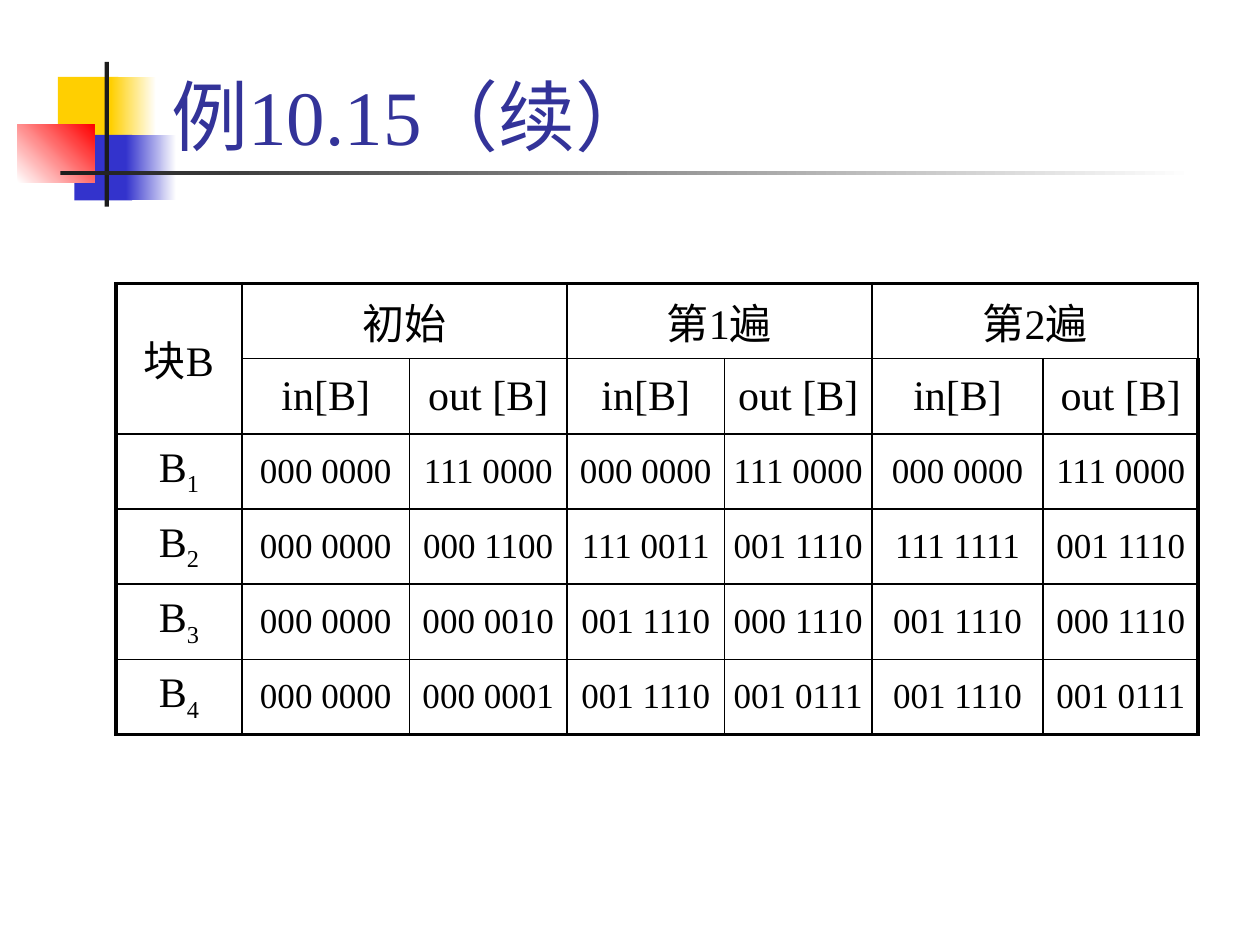
from dataclasses import dataclass
from lxml.etree import SubElement
from pptx import Presentation
from pptx.dml.color import RGBColor as Color
from pptx.enum.shapes import MSO_SHAPE as Shape
from pptx.enum.text import MSO_ANCHOR as Anchor, MSO_AUTO_SIZE as AutoSize, PP_ALIGN as Align
from pptx.oxml.ns import qn
from pptx.util import Inches, Pt

GRID_COLUMNS, GRID_ROWS = 100, 75


@dataclass(frozen=True)
class Theme:
    font: str = "Times New Roman"
    title: str = "333399"
    text: str = "000000"
    paper: str = "FFFFFF"
    yellow: str = "FFCF01"
    blue: str = "3333CC"
    red: str = "FF0000"
    ink: str = "1C1C1C"
    title_size: int = 44
    header_size: int = 24
    value_size: int = 20
    thin: float = 1
    thick: float = 2.25


class SlideBuilder:
    def __init__(self, presentation, theme):
        self.theme = theme
        self.column = presentation.slide_width / GRID_COLUMNS
        self.row = presentation.slide_height / GRID_ROWS
        self.slide = presentation.slides.add_slide(presentation.slide_layouts[5])

    def box(self, left, top, width, height):
        return (round(left * self.column), round(top * self.row),
                round(width * self.column), round(height * self.row))

    def style_run(self, run, size, color):
        run.font.name = self.theme.font
        run.font.size = Pt(size)
        run.font.color.rgb = Color.from_string(color)

    def block(self, area, start, end=None, angle=0):
        shape = self.slide.shapes.add_shape(Shape.RECTANGLE, *self.box(*area))
        shape.shadow.inherit = False
        shape.line.fill.background()
        if end is None:
            shape.fill.solid()
            shape.fill.fore_color.rgb = Color.from_string(start)
            return
        shape.fill.gradient()
        shape.fill.gradient_angle = angle
        for stop, color in zip(shape.fill.gradient_stops, (start, end)):
            stop.color.rgb = Color.from_string(color)

    def title(self, text, area):
        shape = self.slide.shapes.title
        shape.left, shape.top, shape.width, shape.height = self.box(*area)
        frame = shape.text_frame
        frame.text = text
        frame.auto_size = AutoSize.NONE
        frame.vertical_anchor = Anchor.BOTTOM
        paragraph = frame.paragraphs[0]
        paragraph.alignment = Align.LEFT
        self.style_run(paragraph.runs[0], self.theme.title_size, self.theme.title)

    def border(self, cell, edges):
        properties = cell._tc.get_or_add_tcPr()
        for side, outer in edges.items():
            width = self.theme.thick if outer else self.theme.thin
            line = SubElement(properties, qn(f"a:ln{side}"), w=str(Pt(width)))
            fill = SubElement(line, qn("a:solidFill"))
            SubElement(fill, qn("a:srgbClr"), val=self.theme.text)

    def cell(self, cell, text, size, subscript=""):
        cell.vertical_anchor = Anchor.MIDDLE
        cell.text_frame.text = text
        paragraph = cell.text_frame.paragraphs[0]
        paragraph.alignment = Align.CENTER
        if subscript:
            run = paragraph.add_run()
            run.text = subscript
            run._r.get_or_add_rPr().set("baseline", "-25000")
        for run in paragraph.runs:
            self.style_run(run, size, self.theme.text)

    def table(self, area, widths, corner, groups, subheads, records):
        row_count, column_count = len(records) + 2, len(widths)
        frame = self.slide.shapes.add_table(row_count, column_count, *self.box(*area))
        table = frame.table
        table.first_row = table.horz_banding = False
        for column, width in zip(table.columns, widths):
            column.width = round(width * self.column)
        for row in table.rows:
            row.height = round(area[3] * self.row / row_count)
        for r in range(row_count):
            for c in range(column_count):
                cell = table.cell(r, c)
                self.border(cell, {"L": c == 0, "R": c == column_count - 1,
                                   "T": r == 0, "B": r == row_count - 1})
                cell.fill.background()

        header_size = self.theme.header_size
        table.cell(0, 0).merge(table.cell(1, 0))
        self.cell(table.cell(0, 0), corner, header_size)
        for index, group in enumerate(groups):
            first = 1 + index * len(subheads)
            table.cell(0, first).merge(table.cell(0, first + len(subheads) - 1))
            self.cell(table.cell(0, first), group, header_size)
            for offset, subhead in enumerate(subheads):
                self.cell(table.cell(1, first + offset), subhead, header_size)
        for r, values in enumerate(records, start=2):
            self.cell(table.cell(r, 0), "B", header_size, str(r - 1))
            for c, value in enumerate(values, start=1):
                cell = table.cell(r, c)
                cell.margin_left = cell.margin_right = 0
                cell.margin_top = cell.margin_bottom = 0
                self.cell(cell, value, self.theme.value_size)


def main():
    presentation = Presentation()
    presentation.slide_width, presentation.slide_height = Inches(10), Inches(7.5)
    theme = Theme()
    builder = SlideBuilder(presentation, theme)

    builder.block((4.6, 6.1, 4.8, 5.2), theme.yellow)
    builder.block((8.8, 6.1, 3.6, 5.2), theme.yellow, theme.paper)
    builder.block((5.9, 10.7, 4.6, 5.2), theme.blue)
    builder.block((10, 10.7, 4, 5.2), theme.blue, theme.paper)
    builder.block((1.4, 9.9, 6.1, 4.6), theme.paper, theme.red, angle=45)
    builder.block((8.3, 4.9, 0.35, 11.5), theme.ink)
    builder.block((4.8, 13.6, 90, 0.3), theme.ink, theme.paper)
    builder.title("例10.15（续）", (12.6, 0.8, 85.2, 12.5))

    builder.table(
        area=(9.2, 22.5, 85.8, 35.8),
        widths=(10, 13.3, 12.5, 12.5, 11.7, 13.6, 12.3),
        corner="块B",
        groups=("初始", "第1遍", "第2遍"),
        subheads=("in[B]", "out [B]"),
        records=(
            ("000 0000", "111 0000", "000 0000", "111 0000", "000 0000", "111 0000"),
            ("000 0000", "000 1100", "111 0011", "001 1110", "111 1111", "001 1110"),
            ("000 0000", "000 0010", "001 1110", "000 1110", "001 1110", "000 1110"),
            ("000 0000", "000 0001", "001 1110", "001 0111", "001 1110", "001 0111"),
        ),
    )
    presentation.save("out.pptx")


if __name__ == "__main__":
    main()
